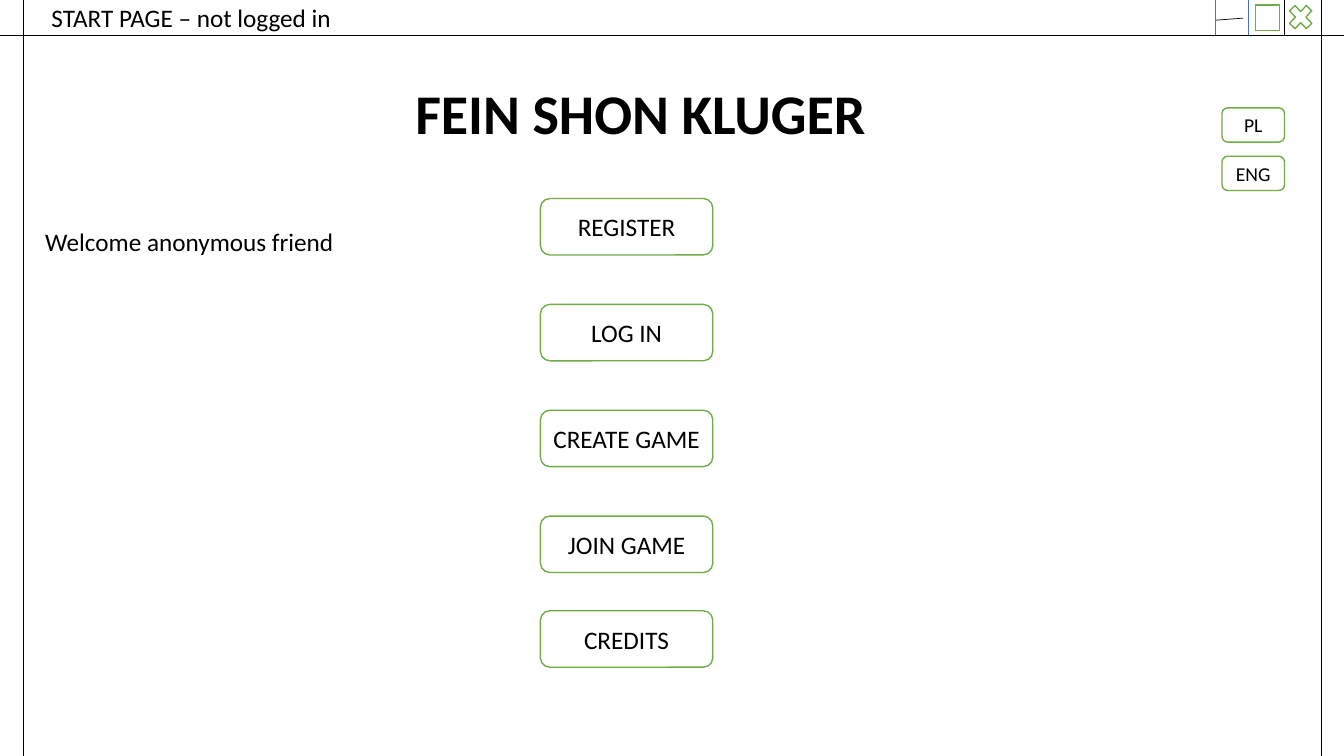
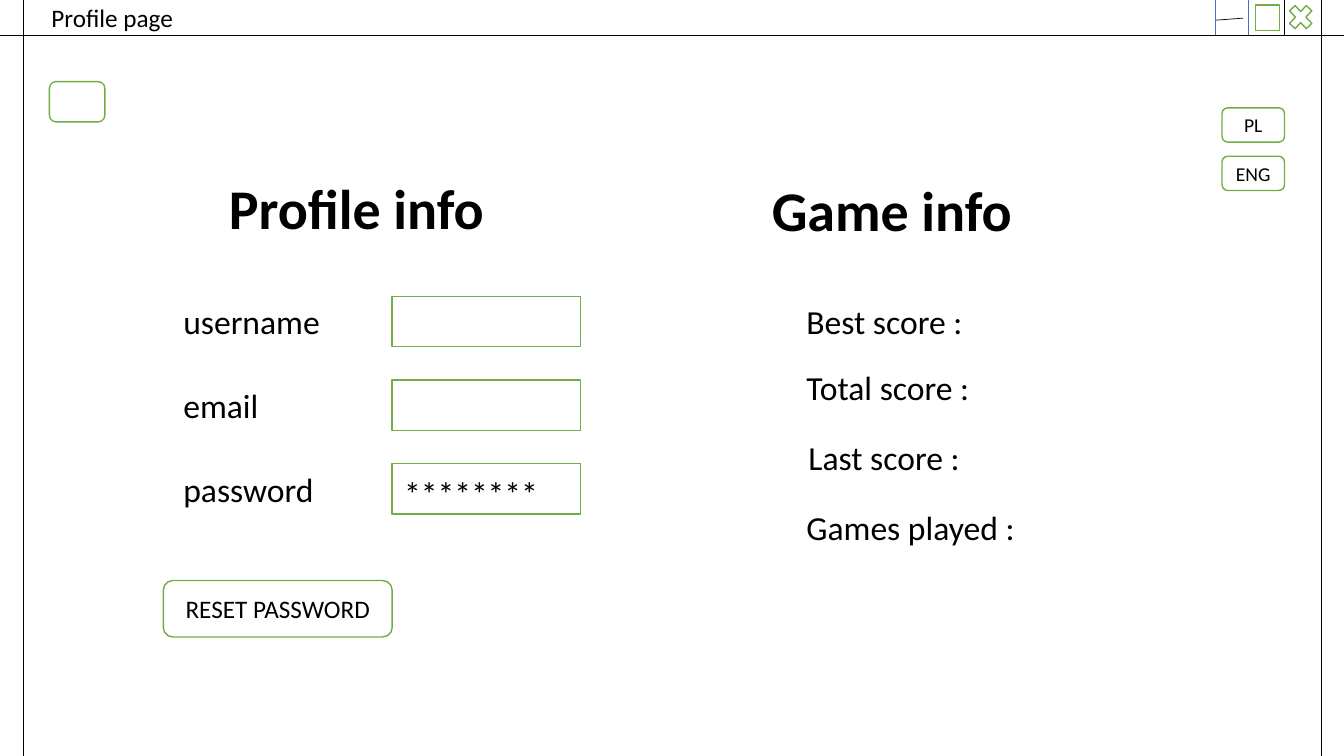
from pptx import Presentation
from pptx.dml.color import RGBColor
from pptx.enum.shapes import MSO_CONNECTOR as CONN, MSO_SHAPE as SHAPE
from pptx.enum.text import MSO_ANCHOR as ANCHOR, MSO_AUTO_SIZE as FIT, PP_ALIGN as ALIGN
from pptx.oxml import parse_xml
from pptx.oxml.ns import nsdecls
from pptx.util import Emu, Pt

SCALE = 9144  # EMU per px, 100 px to the inch
WIDTH, HEIGHT = 1333, 750
BAR_H = 35
FONT = "Calibri"
BLACK = RGBColor(0x00, 0x00, 0x00)
WHITE = RGBColor(0xFF, 0xFF, 0xFF)
GREEN = RGBColor(0x70, 0xAD, 0x47)
BLUE = RGBColor(0x44, 0x72, 0xC4)


def px(*lengths):
    return [Emu(n * SCALE) for n in lengths]


def write(tf, text, size, align=ALIGN.LEFT, bold=False):
    p = tf.paragraphs[0]
    p.text = text
    p.alignment = align
    p.font.name, p.font.size, p.font.bold = FONT, Pt(size), bold
    p.font.color.rgb = BLACK
    return p


def add_box(slide, kind, x, y, w, h):
    sp = slide.shapes.add_shape(kind, *px(x, y, w, h))
    sp.shadow.inherit = False
    sp.fill.solid()
    sp.fill.fore_color.rgb = WHITE
    sp.line.color.rgb = GREEN
    sp.line.width = Pt(1)
    return sp


def add_button(slide, text, x, y, w, h, size=18):
    sp = add_box(slide, SHAPE.ROUNDED_RECTANGLE, x, y, w, h)
    tf = sp.text_frame
    tf.vertical_anchor = ANCHOR.MIDDLE
    if text:
        write(tf, text, size, ALIGN.CENTER)


def add_text(slide, text, x, y, w, h, size, align=ALIGN.LEFT, bold=False):
    tf = slide.shapes.add_textbox(*px(x, y, w, h)).text_frame
    tf.word_wrap = True
    tf.auto_size = FIT.SHAPE_TO_FIT_TEXT
    write(tf, text, size, align, bold)


def add_line(slide, x1, y1, x2, y2, color=BLACK):
    line = slide.shapes.add_connector(CONN.STRAIGHT, *px(x1, y1, x2, y2))
    line.line.color.rgb = color
    line.line.width = Pt(0.5)
    line._element.spPr.append(parse_xml(f"<a:effectLst {nsdecls('a')}/>"))


def set_title(slide, text):
    title = slide.shapes.title
    title.left, title.top, title.width, title.height = px(41, 4, 614, 31)
    tf = title.text_frame
    tf.auto_size = FIT.NONE
    tf.vertical_anchor = ANCHOR.MIDDLE
    write(tf, text, 18).line_spacing = 0.9


def window_controls(slide, x, y):
    # Close, maximise and minimise
    add_box(slide, SHAPE.MATH_MULTIPLY, x + 69, y, 32, 34)
    add_box(slide, SHAPE.RECTANGLE, x + 40, y + 5, 24, 25)
    add_line(slide, x + 1, y + 20, x + 28, y + 18)
    # Dividers
    for dx, color in ((0, BLUE), (33, BLUE), (69, BLACK)):
        add_line(slide, x + dx, y, x + dx, y + BAR_H, color)


def language_buttons(slide, x, y):
    for i, language in enumerate(("PL", "ENG")):
        add_button(slide, language, x, y + 48 * i, 62, 34, 14)


def add_page(prs, title):
    slide = prs.slides.add_slide(prs.slide_layouts[5])
    set_title(slide, title)
    language_buttons(slide, 1212, 107)
    # Window frame
    add_line(slide, 0, BAR_H, WIDTH, BAR_H)
    for x in (1311, 23):
        add_line(slide, x, 0, x, HEIGHT)
    window_controls(slide, 1205, 0)
    return slide


def main_menu(slide, x, y):
    for i, label in enumerate(("REGISTER", "LOG IN", "CREATE GAME", "JOIN GAME")):
        add_button(slide, label, x, y + 105 * i, 171, 56)
    add_button(slide, "CREDITS", x, y + 409, 171, 56)


def profile_form(slide, x, y):
    add_text(slide, "Profile info", x - 3, y, 369, 77, 40, ALIGN.CENTER, True)
    # Labels with their entry fields
    for i, label in enumerate(("username", "email", "password")):
        top = y + 127 + 83 * i
        add_text(slide, label, x, top, 187, 50, 24)
        add_box(slide, SHAPE.RECTANGLE, x + 217, top, 187, 50)
    add_text(slide, "********", x + 219, top + 4, 187, 50, 24)
    add_button(slide, "RESET PASSWORD", x - 10, y + 409, 227, 56)


def game_scores(slide, x, y):
    add_text(slide, "Game info", x, y, 399, 77, 40, ALIGN.CENTER, True)
    scores = (("Best score :", 105, 125), ("Total score :", 105, 190),
              ("Last score :", 107, 260), ("Games played :", 105, 329))
    for label, dx, dy in scores:
        add_text(slide, label, x + dx, y + dy, 227, 50, 24)


def start_page(prs):
    slide = add_page(prs, "START PAGE – not logged in")
    add_text(slide, "FEIN SHON KLUGER", 402, 73, 485, 77, 40, bold=True)
    add_text(slide, "Welcome anonymous friend", 35, 220, 314, 40, 18)
    main_menu(slide, 536, 197)


def profile_page(prs):
    slide = add_page(prs, "Profile page")
    add_button(slide, "", 49, 81, 55, 40)
    profile_form(slide, 172, 167)
    game_scores(slide, 685, 169)


def main():
    prs = Presentation()
    prs.slide_width, prs.slide_height = px(WIDTH, HEIGHT)
    start_page(prs)
    profile_page(prs)
    prs.save("out.pptx")


if __name__ == "__main__":
    main()
